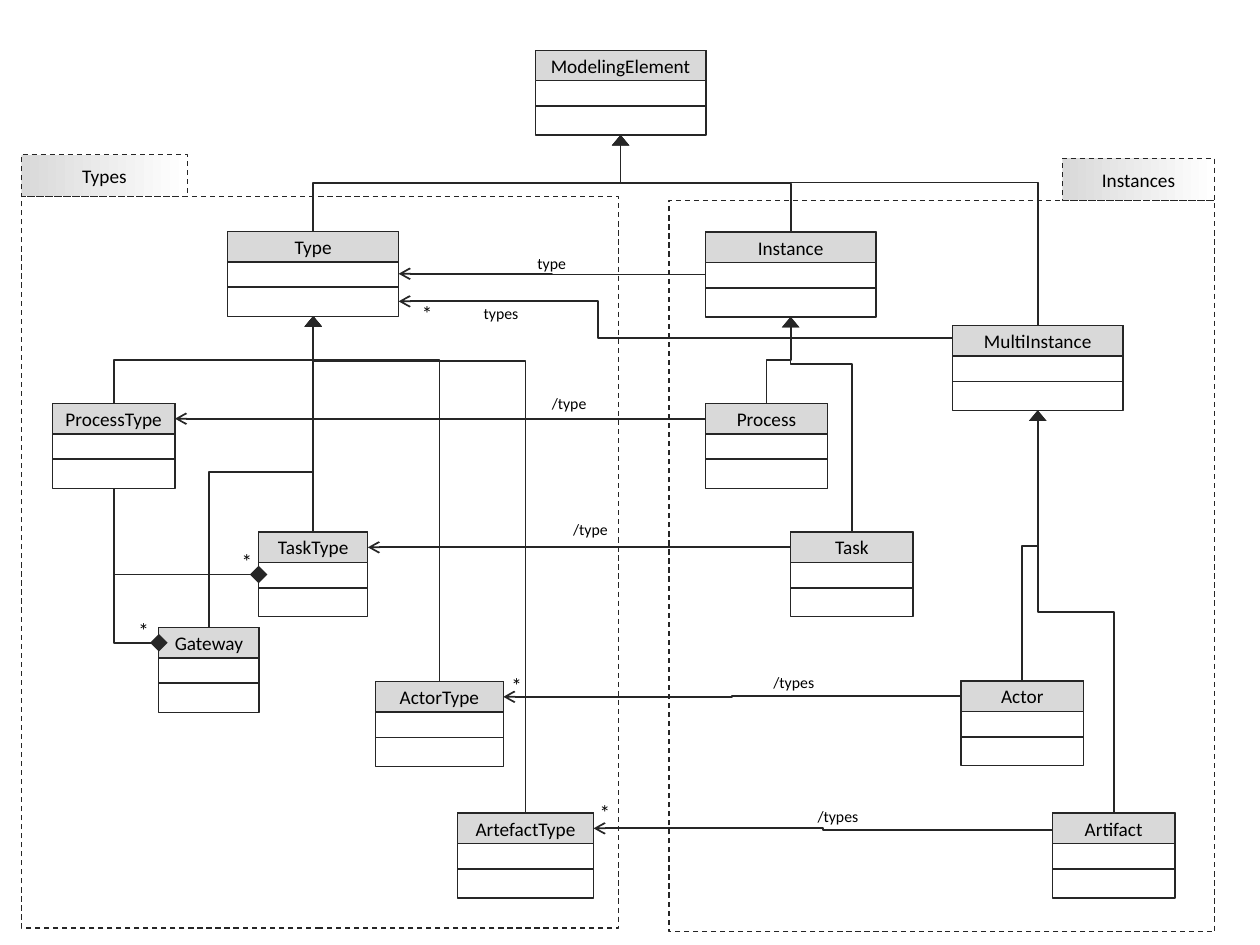
"""Build the class diagram of modeling elements, their types and their instances."""
import lxml.etree
import pptx
import pptx.dml.color
import pptx.enum.dml
import pptx.enum.shapes
import pptx.enum.text
import pptx.oxml.ns
import pptx.util

Pt = pptx.util.Pt
qn = pptx.oxml.ns.qn
RGBColor = pptx.dml.color.RGBColor
RECTANGLE = pptx.enum.shapes.MSO_SHAPE.RECTANGLE
CONNECTOR = pptx.enum.shapes.MSO_CONNECTOR

INK = RGBColor(0x26, 0x26, 0x26)
TEXT = RGBColor(0x00, 0x00, 0x00)
GRAY = RGBColor(0xD9, 0xD9, 0xD9)
WHITE = RGBColor(0xFF, 0xFF, 0xFF)

FONT = "Calibri"
HEIGHT, HEADER, DIVIDER = 48.5, 17.5, 32
ROW = HEADER / 2
MIDDLE = HEIGHT / 2
HEAD_SIZES = {"triangle": ("lg", "med"), "diamond": ("lg", "lg"), "arrow": ("med", "med")}

PACKAGES = [
    ("Types", 12.2, 112.3, 341.3, 12.2, 95),
    ("Instances", 382.3, 114.5, 311.8, 607, 87.1),
]
CLASSES = {
    "ModelingElement": (305.8, 28.7, 97.6),
    "Type": (130.2, 132.2, 97.6),
    "ProcessType": (30, 230.5, 70),
    "TaskType": (147.8, 304, 62.4),
    "Gateway": (90.8, 358.5, 57.2),
    "ActorType": (214.6, 389.4, 73),
    "ArtefactType": (261.4, 464.6, 77.8),
    "Instance": (403, 132.6, 97.6),
    "MultiInstance": (544.2, 186, 97.6),
    "Process": (403, 230.5, 70),
    "Task": (451.8, 304, 70),
    "Actor": (549.2, 389.1, 70),
    "Artifact": (601.4, 464.6, 70),
}
INHERITANCE = [
    ("Type", "ModelingElement", 0.5),
    ("Instance", "ModelingElement", 0.5),
    ("MultiInstance", "ModelingElement", 0.75),
    ("ProcessType", "Type", 0.5),
    ("TaskType", "Type", 0.5),
    ("Gateway", "Type", 0.5),
    ("ActorType", "Type", 0.88),
    ("ArtefactType", "Type", 0.91),
    ("Process", "Instance", 0.5),
    ("Task", "Instance", 0.78),
    ("Actor", "MultiInstance", 0.5),
    ("Artifact", "MultiInstance", 0.5),
]
ASSOCIATIONS = [
    ("Instance", MIDDLE, "Type", MIDDLE, 0.5),
    ("MultiInstance", 7, "Type", 40, 0.64),
    ("Process", ROW, "ProcessType", ROW, 0.5),
    ("Task", ROW, "TaskType", ROW, 0.5),
    ("Actor", ROW, "ActorType", ROW, 0.5),
    ("Artifact", 9.7, "ArtefactType", ROW, 0.5),
]
COMPOSITIONS = [("Gateway", ROW), ("TaskType", MIDDLE)]
LABELS = [
    ("type", 300, 141.2),
    ("types", 269.3, 170),
    ("/type", 308.2, 221.2),
    ("/type", 320.4, 293.3),
    ("/types", 434.9, 380.9),
    ("/types", 460.1, 457.6),
]
STARS = [(234, 168.5), (131, 309.8), (72, 349.2), (285.1, 380.9), (335.5, 453.6)]


def add_run(p, text, size):
    r = p.add_run()
    r.text = text
    r.font.name = FONT
    r.font.size = Pt(size)
    r.font.color.rgb = TEXT


def add_box(shapes, x, y, w, h, text=""):
    s = shapes.add_shape(RECTANGLE, Pt(x), Pt(y), Pt(w), Pt(h))
    s.shadow.inherit = False
    s.fill.background()
    s.line.color.rgb = INK
    s.line.width = Pt(0.75)
    if text:
        tf = s.text_frame
        tf.margin_left = tf.margin_right = tf.margin_top = tf.margin_bottom = 0
        tf.vertical_anchor = pptx.enum.text.MSO_ANCHOR.MIDDLE
        tf.paragraphs[0].alignment = pptx.enum.text.PP_ALIGN.CENTER
        add_run(tf.paragraphs[0], text, 11)
    return s


def add_package(shapes, name, x, y, w, tab_x, tab_w):
    tab_h = 24
    frame = add_box(shapes, x, y, w, 418)
    tab = add_box(shapes, tab_x, y - tab_h, tab_w, tab_h, name)
    for s in (frame, tab):
        s.line.dash_style = pptx.enum.dml.MSO_LINE.DASH
    tab.fill.gradient()
    tab.fill.gradient_angle = 0
    for stop, color in zip(tab.fill.gradient_stops, (GRAY, WHITE)):
        stop.color.rgb = color


def add_line(shapes, kind, x1, y1, x2, y2):
    s = shapes.add_connector(kind, Pt(x1), Pt(y1), Pt(x2), Pt(y2))
    s.line.color.rgb = INK
    s.line.width = Pt(1)
    lxml.etree.SubElement(s._element.spPr, qn("a:effectLst"))
    return s


def add_class(shapes, name, x, y, w):
    group = shapes.add_group_shape().shapes
    add_box(group, x, y, w, HEIGHT)
    header = add_box(group, x, y, w, HEADER, name)
    header.fill.solid()
    header.fill.fore_color.rgb = GRAY
    add_line(group, CONNECTOR.STRAIGHT, x, y + DIVIDER, x + w, y + DIVIDER)


def add_elbow(shapes, start, end, angle, head, bend=None):
    """Draw an elbow that leaves start at the angle; without a bend it has one corner."""
    (x1, y1), (x2, y2) = start, end
    dx, dy = x2 - x1, y2 - y1
    length, across = {90: (dy, -dx), 180: (-dx, -dy), 270: (-dy, dx)}[angle]
    cx, cy = (x1 + x2) / 2, (y1 + y2) / 2
    s = add_line(shapes, CONNECTOR.ELBOW, cx - length / 2, cy - across / 2,
                 cx + length / 2, cy + across / 2)
    spPr = s._element.spPr
    spPr.find(qn("a:xfrm")).set("rot", str(angle * 60000))
    geometry = spPr.find(qn("a:prstGeom"))
    if bend is None:
        geometry.set("prst", "bentConnector2")
    else:
        guides = geometry.find(qn("a:avLst"))
        lxml.etree.SubElement(guides, qn("a:gd"), name="adj1", fmla=f"val {round(bend * 100000)}")
    width, size = HEAD_SIZES[head]
    lxml.etree.SubElement(spPr.find(qn("a:ln")), qn("a:tailEnd"), type=head, w=width, len=size)


def anchor(name, side, offset=0):
    x, y, w = CLASSES[name]
    return {"top": (x + w / 2, y), "bottom": (x + w / 2, y + HEIGHT),
            "left": (x, y + offset), "right": (x + w, y + offset)}[side]


def add_label(shapes, text, x, y, w, h, size):
    tf = shapes.add_textbox(Pt(x), Pt(y), Pt(w), Pt(h)).text_frame
    tf.word_wrap = False
    tf.auto_size = pptx.enum.text.MSO_AUTO_SIZE.SHAPE_TO_FIT_TEXT
    add_run(tf.paragraphs[0], text, size)


def main():
    prs = pptx.Presentation()
    prs.slide_width, prs.slide_height = Pt(720), Pt(540)
    shapes = prs.slides.add_slide(prs.slide_layouts[6]).shapes
    for package in PACKAGES:
        add_package(shapes, *package)
    for name, place in CLASSES.items():
        add_class(shapes, name, *place)
    for child, parent, bend in INHERITANCE:
        add_elbow(shapes, anchor(child, "top"), anchor(parent, "bottom"), 270, "triangle", bend)
    for source, leave, target, arrive, bend in ASSOCIATIONS:
        add_elbow(shapes, anchor(source, "left", leave), anchor(target, "right", arrive),
                  180, "arrow", bend)
    for part, offset in COMPOSITIONS:
        add_elbow(shapes, anchor("ProcessType", "bottom"), anchor(part, "left", offset),
                  90, "diamond")
    for text, x, y in LABELS:
        add_label(shapes, text, x, y, 14.4 + 4.1 * len(text), 18, 9)
    for x, y in STARS:
        add_label(shapes, "*", x, y, 21, 21.6, 12)
    prs.save("out.pptx")


if __name__ == "__main__":
    main()
